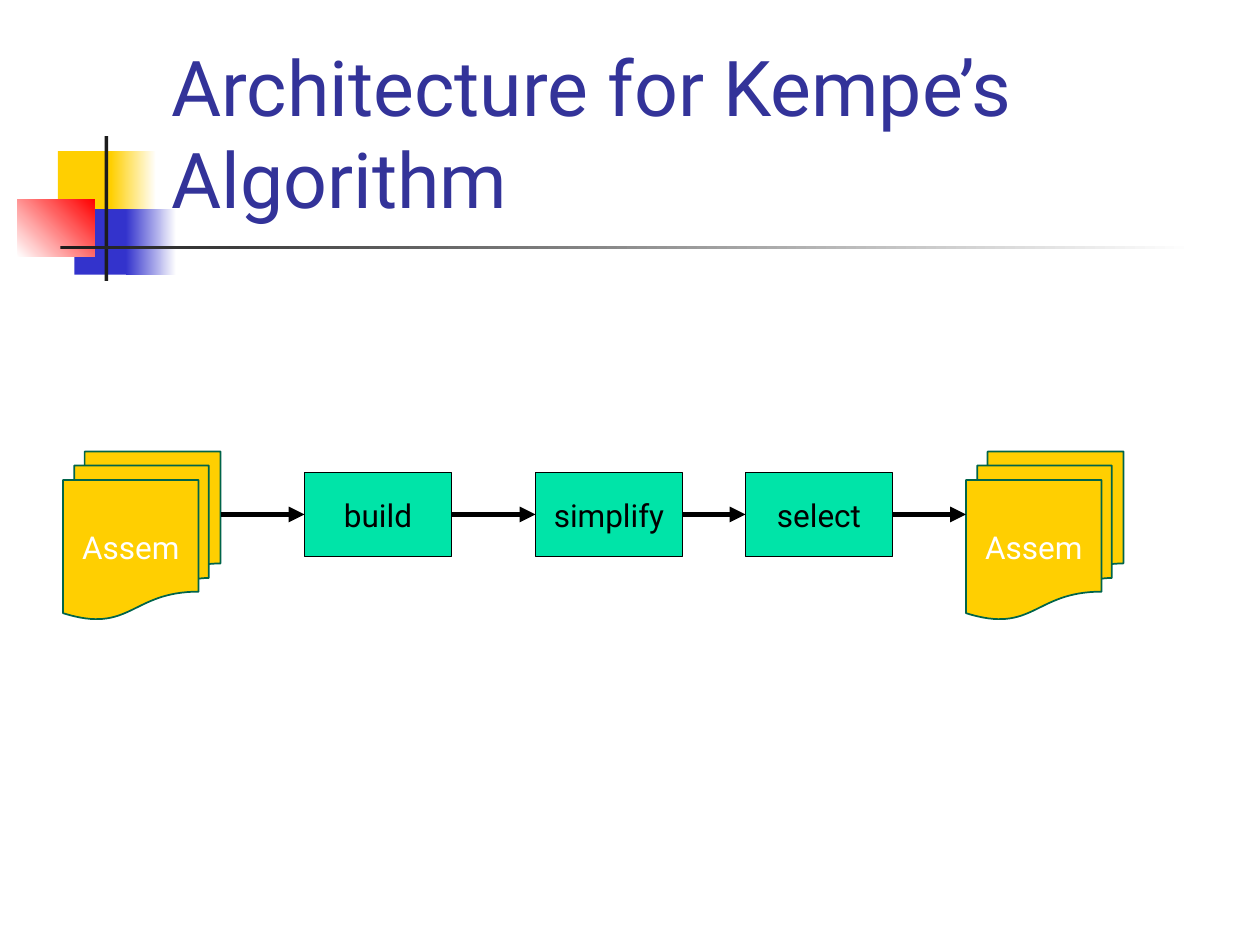
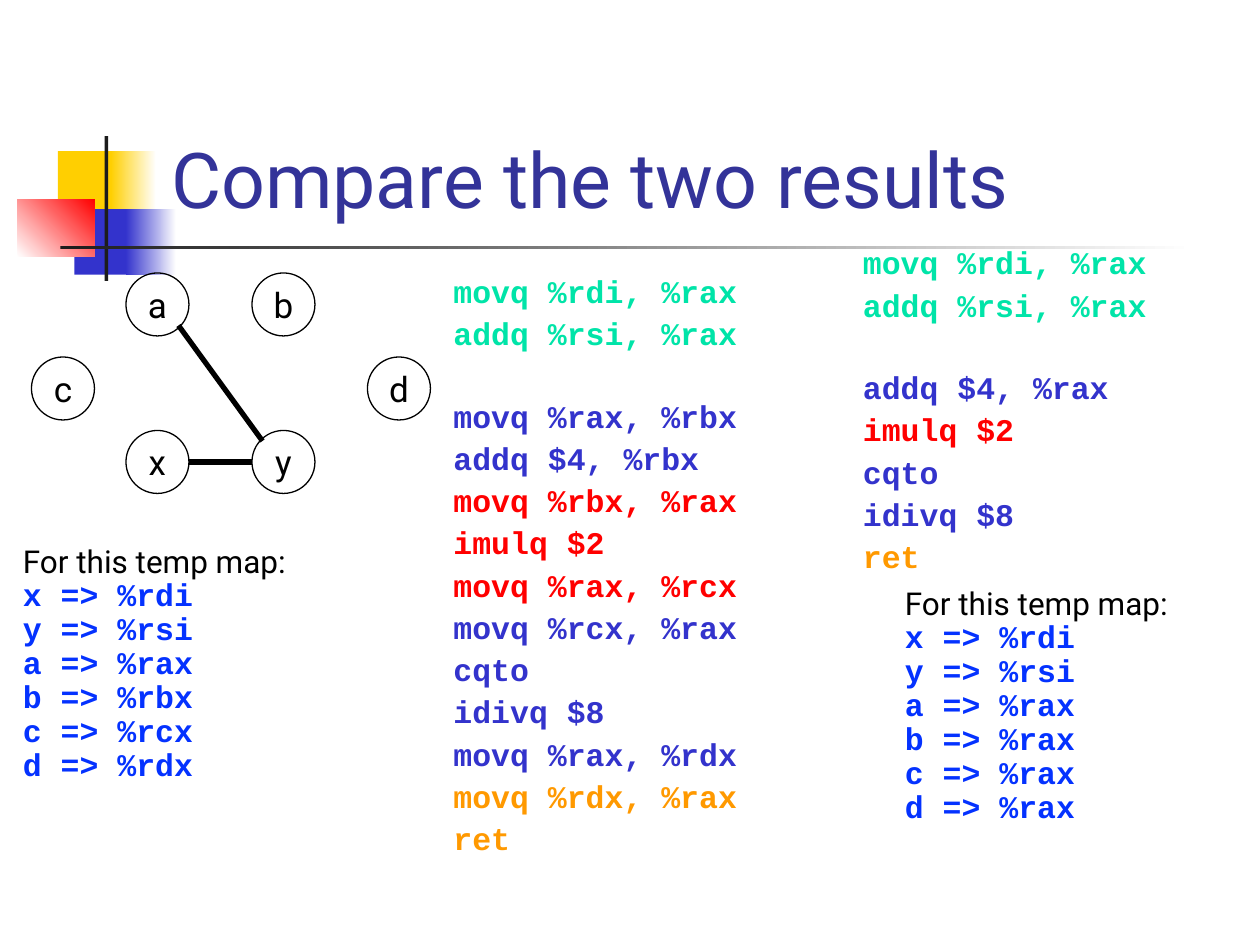
import pptx
import pptx.dml.color
import pptx.enum.shapes
import pptx.enum.text
import pptx.oxml
import pptx.oxml.ns
import pptx.util

RGBColor = pptx.dml.color.RGBColor
BLACK = RGBColor(0x00, 0x00, 0x00)
WHITE = RGBColor(0xFF, 0xFF, 0xFF)
CHARCOAL = RGBColor(0x1C, 0x1C, 0x1C)
YELLOW = RGBColor(0xFF, 0xCF, 0x01)
BLUE = RGBColor(0x33, 0x33, 0xCC)
RED = RGBColor(0xFF, 0x00, 0x00)
GREEN = RGBColor(0x00, 0xE4, 0xA8)
ORANGE = RGBColor(0xFF, 0x99, 0x00)
TITLE_BLUE = RGBColor(0x33, 0x33, 0x99)
MAP_BLUE = RGBColor(0x04, 0x32, 0xFF)
DARK_GREEN = RGBColor(0x00, 0x64, 0x4A)

TEXT_FONT = "Roboto"
CODE_FONT = "Courier New"
LINE_GAP = 4.7    # points between lines of code
BLOCK_GAP = 27.7  # points before a new block of code

SHAPE = pptx.enum.shapes.MSO_SHAPE
CENTER = pptx.enum.text.PP_ALIGN.CENTER
MIDDLE = pptx.enum.text.MSO_ANCHOR.MIDDLE


def write(frame, text, size=18, font=TEXT_FONT, color=BLACK, bold=False,
          align=None, spacing=None, before=0):
    """Fill the frame's empty first paragraph, or add one below its text."""
    para = frame.add_paragraph() if frame.text else frame.paragraphs[0]
    para.alignment = align
    para.line_spacing = spacing
    para.space_before = pptx.util.Pt(before)
    span = para.add_run()
    span.text = text
    span.font.size = pptx.util.Pt(size)
    span.font.name = font
    span.font.bold = bold
    span.font.color.rgb = color


def draw_line(slide, start, end, arrow=False):
    """Draw a thick black line between two (column, row) points."""
    line = slide.shapes.add_connector(
        pptx.enum.shapes.MSO_CONNECTOR.STRAIGHT,
        *[unit * value for value in (*start, *end)])
    line.line.color.rgb = BLACK
    line.line.width = pptx.util.Pt(3)
    if arrow:
        tip = pptx.oxml.parse_xml(
            f'<a:tailEnd {pptx.oxml.ns.nsdecls("a")} type="triangle"/>')
        line.line._get_or_add_ln().append(tip)
    line.element.spPr.append(pptx.oxml.parse_xml(
        f'<a:effectLst {pptx.oxml.ns.nsdecls("a")}/>'))
    return line


deck = pptx.Presentation()
deck.slide_width = pptx.util.Inches(10)
deck.slide_height = pptx.util.Inches(7.5)
unit = deck.slide_width // 120  # one grid column or row: a twelfth of an inch
layout = deck.slide_layouts.get_by_name("Title Only")

# Titles
slides = []
for title_text in ("Architecture for Kempe’s Algorithm", "Compare the two results"):
    slide = deck.slides.add_slide(layout)
    title = slide.shapes.title
    title.left, title.top, title.width, title.height = [
        pptx.util.Inches(value) for value in (1.26, 0.23, 8.52, 1.6)]
    title.text_frame.vertical_anchor = pptx.enum.text.MSO_ANCHOR.BOTTOM
    title.text_frame.auto_size = pptx.enum.text.MSO_AUTO_SIZE.NONE
    title.text_frame.word_wrap = True
    write(title.text_frame, title_text, size=44, color=TITLE_BLUE,
          align=pptx.enum.text.PP_ALIGN.LEFT)
    slides.append(slide)
architecture, comparison = slides

# Colour blocks and rules, moved to the layout that both slides share
ornaments = [
    ((0.46, 1.2, 0.48, 0.52), YELLOW, YELLOW, 0),
    ((0.88, 1.2, 0.36, 0.52), YELLOW, WHITE, 0),
    ((0.59, 1.66, 0.46, 0.52), BLUE, BLUE, 0),
    ((1, 1.66, 0.4, 0.52), BLUE, WHITE, 0),
    ((0.14, 1.58, 0.61, 0.46), WHITE, RED, 45),
    ((0.83, 1.08, 0.03, 1.15), CHARCOAL, CHARCOAL, 0),
    ((0.48, 1.95, 9, 0.03), CHARCOAL, WHITE, 0),
]
for place, first_color, last_color, angle in ornaments:
    ornament = architecture.shapes.add_shape(
        SHAPE.RECTANGLE, *[pptx.util.Inches(value) for value in place])
    ornament.shadow.inherit = False
    ornament.line.fill.background()
    if first_color == last_color:
        ornament.fill.solid()
        ornament.fill.fore_color.rgb = first_color
    else:
        ornament.fill.gradient()
        ornament.fill.gradient_angle = angle
        for stop, color in zip(ornament.fill.gradient_stops, (first_color, last_color)):
            stop.color.rgb = color
    layout.shapes.element.append(ornament.element)

# Slide 1: pipeline of phases between two stacks of documents
PHASE_WIDTH, PHASE_HEIGHT, PHASE_TOP = 14, 8, 45
DOCUMENT_WIDTH, DOCUMENT_HEIGHT, DOCUMENT_TOP = 15, 16, 43
arrow_row = PHASE_TOP + PHASE_HEIGHT / 2
steps = [("Assem", 6), ("build", 29), ("simplify", 51), ("select", 71), ("Assem", 92)]
previous, previous_right, previous_is_phase = None, 0, False
for label, column in steps:
    is_phase = label != "Assem"
    if is_phase:
        kind, top, width, height = SHAPE.RECTANGLE, PHASE_TOP, PHASE_WIDTH, PHASE_HEIGHT
        fill, outline, weight, ink = GREEN, BLACK, 0.75, BLACK
    else:
        kind, top, width, height = (SHAPE.FLOWCHART_MULTIDOCUMENT, DOCUMENT_TOP,
                                    DOCUMENT_WIDTH, DOCUMENT_HEIGHT)
        fill, outline, weight, ink = YELLOW, DARK_GREEN, 1, WHITE
    step = architecture.shapes.add_shape(
        kind, unit * column, unit * top, unit * width, unit * height)
    step.shadow.inherit = False
    step.fill.solid()
    step.fill.fore_color.rgb = fill
    step.line.color.rgb = outline
    step.line.width = pptx.util.Pt(weight)
    step.text_frame.word_wrap = not is_phase
    step.text_frame.vertical_anchor = MIDDLE
    write(step.text_frame, label, color=ink, align=CENTER)
    if previous:
        arrow = draw_line(architecture, (previous_right, int(arrow_row)),
                          (column, int(arrow_row)), arrow=True)
        if previous_is_phase:
            arrow.begin_connect(previous, 3)
        if is_phase:
            arrow.end_connect(step, 1)
    previous, previous_right, previous_is_phase = step, column + width, is_phase

# Slide 2: interference graph
NODE_SIZE = 6
nodes = {"a": (12, 26), "b": (24, 26), "c": (3, 34),
         "d": (35, 34), "x": (12, 41), "y": (24, 41)}
for label, (column, row) in nodes.items():
    node = comparison.shapes.add_shape(
        SHAPE.OVAL, unit * column, unit * row, unit * NODE_SIZE, unit * NODE_SIZE)
    node.shadow.inherit = False
    node.fill.background()
    node.line.color.rgb = BLACK
    node.line.width = pptx.util.Pt(0.75)
    node.text_frame.word_wrap = False
    node.text_frame.vertical_anchor = MIDDLE
    write(node.text_frame, label, size=20, align=CENTER)
draw_line(comparison, (18, 44), (24, 44))
draw_line(comparison, (17, 31), (25, 42))

# Slide 2: generated code, as (colour, lines) runs; the first run is a block of its own
listings = [
    ((42, 25.7, 39, 60), [
        (GREEN, ["movq %rdi, %rax", "addq %rsi, %rax"]),
        (BLUE, ["movq %rax, %rbx", "addq $4, %rbx"]),
        (RED, ["movq %rbx, %rax", "imulq $2", "movq %rax, %rcx"]),
        (BLUE, ["movq %rcx, %rax", "cqto", "idivq $8", "movq %rax, %rdx"]),
        (ORANGE, ["movq %rdx, %rax", "ret"]),
    ]),
    ((81, 23, 38, 60), [
        (GREEN, ["movq %rdi, %rax", "addq %rsi, %rax"]),
        (BLUE, ["addq $4, %rax"]),
        (RED, ["imulq $2"]),
        (BLUE, ["cqto", "idivq $8"]),
        (ORANGE, ["ret"]),
    ]),
]
for place, runs in listings:
    box = comparison.shapes.add_textbox(*[int(unit * value) for value in place])
    box.text_frame.word_wrap = True
    for run_number, (color, lines) in enumerate(runs):
        for line_number, code in enumerate(lines):
            starts_block = run_number == 1 and line_number == 0
            write(box.text_frame, code, font=CODE_FONT, color=color, bold=True,
                  spacing=0.9, before=BLOCK_GAP if starts_block else LINE_GAP)

# Slide 2: register chosen for each temporary
temporaries = ["x", "y", "a", "b", "c", "d"]
temp_maps = [
    ((1, 51), ["rdi", "rsi", "rax", "rbx", "rcx", "rdx"]),
    ((85, 55), ["rdi", "rsi", "rax", "rax", "rax", "rax"]),
]
for (column, row), registers in temp_maps:
    box = comparison.shapes.add_textbox(
        unit * column, unit * row, unit * 34, int(unit * 24.6))
    box.text_frame.word_wrap = True
    write(box.text_frame, "For this temp map:")
    for temporary, register in zip(temporaries, registers):
        write(box.text_frame, f"{temporary} => %{register}", font=CODE_FONT,
              color=MAP_BLUE, bold=True, spacing=0.9)

deck.save("out.pptx")
